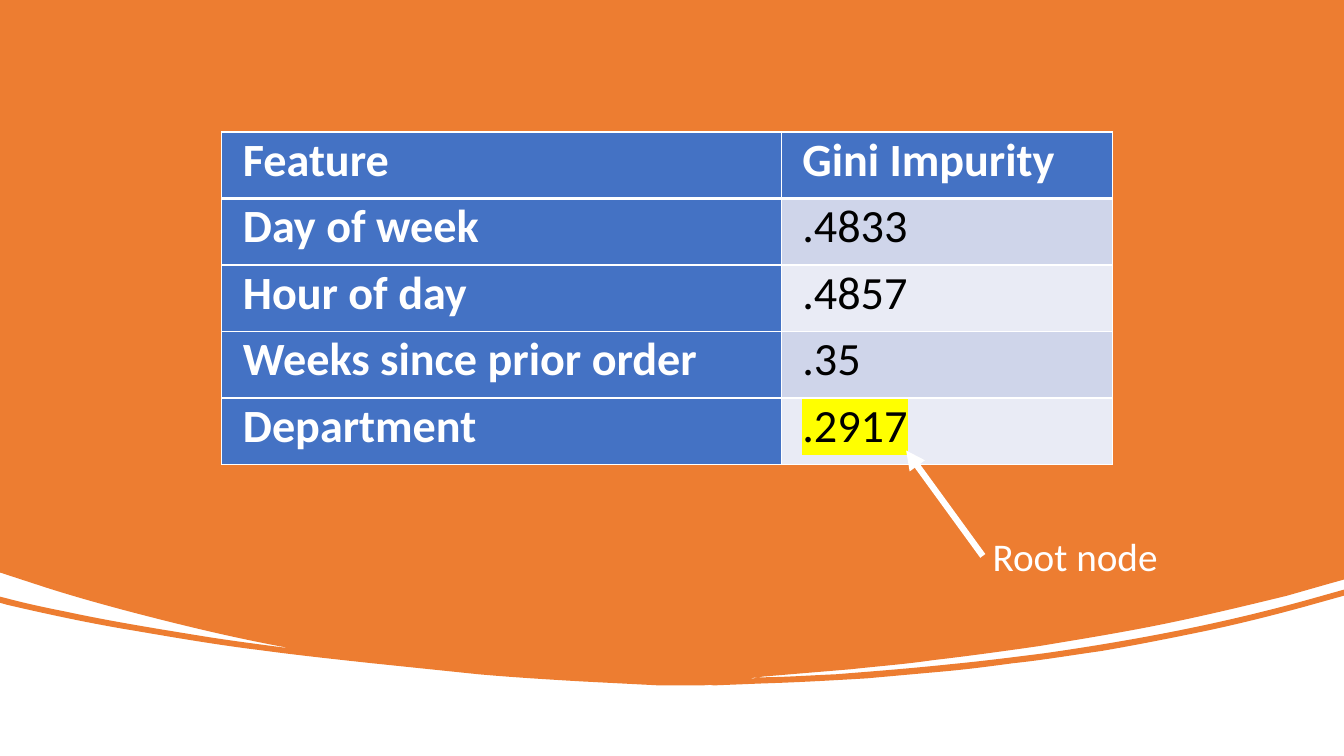
from dataclasses import dataclass

from lxml.etree import SubElement
from pptx import Presentation
from pptx.dml.color import RGBColor
from pptx.enum.shapes import MSO_CONNECTOR
from pptx.enum.text import MSO_AUTO_SIZE
from pptx.oxml import parse_xml
from pptx.oxml.ns import nsdecls, qn
from pptx.util import Inches, Pt

SLIDE_H = 7.5
SLIDE_W = SLIDE_H * 16 / 9
UNITS = 1000  # outline units per inch


@dataclass(frozen=True)
class Theme:
    font: str = "Calibri"
    table_size: float = 33
    label_size: float = 28
    orange: str = "ED7D31"
    blue: str = "4472C4"
    bands: tuple = ("CFD5EA", "E9EBF5")
    white: str = "FFFFFF"
    black: str = "000000"
    yellow: str = "FFFF00"


# Two numbers are a line's end; six are a cubic curve's two controls and end.
SWOOSH = [
    (0, 0), (SLIDE_W, 0), (SLIDE_W, 5.75), (13.19, 5.79),
    (13.05, 5.83, 12.91, 5.87, 12.77, 5.91),
    (12.32, 6.02, 11.86, 6.13, 11.4, 6.22),
    (11.04, 6.29, 10.67, 6.35, 10.31, 6.41),
    (9.96, 6.46, 9.6, 6.51, 9.25, 6.55),
    (8.98, 6.59, 8.71, 6.61, 8.44, 6.64),
    (7.6, 6.71), (7.59, 6.71), (7.43, 6.73), (7.44, 6.73),
    (7.45, 6.73, 7.46, 6.73, 7.48, 6.73),
    (7.49, 6.73, 7.51, 6.72, 7.53, 6.72),
    (7.78, 6.72, 8.04, 6.7, 8.29, 6.69),
    (8.67, 6.66, 9.05, 6.63, 9.43, 6.59),
    (9.74, 6.56, 10.06, 6.52, 10.37, 6.48),
    (10.79, 6.42, 11.21, 6.35, 11.62, 6.27),
    (12.13, 6.17, 12.63, 6.05, 13.12, 5.91),
    (SLIDE_W, 5.85), (SLIDE_W, 5.91), (12.94, 6.02),
    (12.61, 6.11, 12.29, 6.19, 11.96, 6.26),
    (11.62, 6.33, 11.27, 6.4, 10.92, 6.46),
    (10.63, 6.5, 10.34, 6.55, 10.05, 6.58),
    (9.83, 6.61, 9.6, 6.64, 9.38, 6.66),
    (8.6, 6.73),
    (8.26, 6.75, 7.92, 6.77, 7.58, 6.78),
    (7.08, 6.8),
    (7.04, 6.79, 7, 6.8, 6.96, 6.8),
    (6.62, 6.8), (6.54, 6.8), (5.76, 6.76),
    (5.42, 6.74, 5.09, 6.72, 4.75, 6.69),
    (3.69, 6.58),
    (3.32, 6.54, 2.95, 6.5, 2.58, 6.45),
    (2.17, 6.4, 1.76, 6.33, 1.35, 6.26),
    (0.92, 6.19, 0.5, 6.1, 0.07, 6),
    (0, 5.98), (0, 5.92), (0.08, 5.94),
    (0.27, 5.99, 0.46, 6.03, 0.66, 6.07),
    (1.08, 6.16, 1.51, 6.23, 1.94, 6.3),
    (2.24, 6.35, 2.55, 6.39, 2.86, 6.43),
    (2.85, 6.43, 2.84, 6.42, 2.82, 6.42),
    (2.28, 6.32, 1.75, 6.19, 1.22, 6.05),
    (0.96, 5.98, 0.71, 5.91, 0.46, 5.83),
    (0, 5.68),
]

IMPURITIES = [
    ("Feature", "Gini Impurity"),
    ("Day of week", ".4833"),
    ("Hour of day", ".4857"),
    ("Weeks since prior order", ".35"),
    ("Department", ".2917"),
]
ROOT_FEATURE = "Department"


def bend(sp, segments):
    """Turn the lines of a freeform at the slide's corner into cubic curves."""
    lines = list(sp._element.iter(qn("a:lnTo")))
    for line, (*controls, _, _) in zip(lines, segments):
        if controls:
            line.tag = qn("a:cubicBezTo")
            for i in (0, 2):
                pt = SubElement(line, qn("a:pt"), x=str(round(controls[i] * UNITS)),
                                y=str(round(controls[i + 1] * UNITS)))
                line.insert(i // 2, pt)


def write(tf, text, *, font, size, color, bold=False, highlight=None):
    r = tf.paragraphs[0].add_run()
    r.text = text
    r.font.size = Pt(size)
    r.font.bold = bold
    r.font.color.rgb = RGBColor.from_string(color)
    if highlight:
        fill = r.font._element.find(qn("a:solidFill"))
        fill.addnext(parse_xml(f'<a:highlight {nsdecls("a")}>'
                               f'<a:srgbClr val="{highlight}"/></a:highlight>'))
    r.font.name = font


def set_borders(cell, color, widths):
    """Draw cell borders; widths holds points for left, right, top and bottom."""
    tc_pr = cell._tc.get_or_add_tcPr()
    for i, (side, width) in enumerate(zip("LRTB", widths)):
        tc_pr.insert(i, parse_xml(
            f'<a:ln{side} {nsdecls("a")} w="{Pt(width)}"><a:solidFill>'
            f'<a:srgbClr val="{color}"/></a:solidFill></a:ln{side}>'))


class SlideBuilder:
    def __init__(self, slide, theme):
        self.slide = slide
        self.theme = theme

    def backdrop(self, segments):
        start, *rest = [(x * UNITS, y * UNITS) for *_, x, y in segments]
        builder = self.slide.shapes.build_freeform(*start, scale=Inches(1) / UNITS)
        builder.add_line_segments(rest, close=True)
        sp = builder.convert_to_shape()
        bend(sp, segments[1:])
        sp.shadow.inherit = False
        sp.fill.solid()
        sp.fill.fore_color.rgb = RGBColor.from_string(self.theme.orange)
        sp.line.fill.background()

    def table(self, rows, left, top, col_widths, row_height):
        th = self.theme
        table = self.slide.shapes.add_table(
            len(rows), len(col_widths), Inches(left), Inches(top),
            Inches(sum(col_widths)), Inches(row_height * len(rows))).table
        for column, width in zip(table.columns, col_widths):
            column.width = Inches(width)
        for i, values in enumerate(rows):
            table.rows[i].height = Inches(row_height)
            for j, text in enumerate(values):
                cell = table.cell(i, j)
                cell.margin_left = cell.margin_right = Inches(0.21)
                cell.margin_top = cell.margin_bottom = 0
                heading = i == 0 or j == 0
                fill = th.blue if heading else th.bands[(i - 1) % 2]
                cell.fill.solid()
                cell.fill.fore_color.rgb = RGBColor.from_string(fill)
                set_borders(cell, th.white,
                            (1, 1, 3 if i == 1 else 1, 3 if i == 0 else 1))
                is_root = values[0] == ROOT_FEATURE and not heading
                write(cell.text_frame, text, font=th.font, size=th.table_size,
                      color=th.white if heading else th.black, bold=heading,
                      highlight=th.yellow if is_root else None)

    def label(self, text, left, top, width, height):
        sp = self.slide.shapes.add_textbox(
            Inches(left), Inches(top), Inches(width), Inches(height))
        tf = sp.text_frame
        tf.word_wrap = False
        tf.auto_size = MSO_AUTO_SIZE.SHAPE_TO_FIT_TEXT
        write(tf, text, font=self.theme.font, size=self.theme.label_size,
              color=self.theme.white)
        return sp

    def arrow(self, source, x, y):
        """Point an arrow from the left side of source to x, y."""
        line = self.slide.shapes.add_connector(
            MSO_CONNECTOR.STRAIGHT, source.left, source.top + source.height // 2,
            Inches(x), Inches(y))
        line.begin_connect(source, 1)
        line.line.width = Pt(4.5)
        line.line.color.rgb = RGBColor.from_string(self.theme.white)
        SubElement(line.line._get_or_add_ln(), qn("a:tailEnd"), type="triangle")
        SubElement(line._element.spPr, qn("a:effectLst"))


def main():
    prs = Presentation()
    prs.slide_width, prs.slide_height = Inches(SLIDE_W), Inches(SLIDE_H)
    builder = SlideBuilder(prs.slides.add_slide(prs.slide_layouts[6]), Theme())
    builder.backdrop(SWOOSH)
    builder.table(IMPURITIES, 2.2, 1.31, (5.55, 3.29), 0.66)
    root_label = builder.label("Root node", 9.75, 5.23, 1.86, 0.57)
    builder.arrow(root_label, 8.99, 4.47)
    prs.save("out.pptx")


if __name__ == "__main__":
    main()
